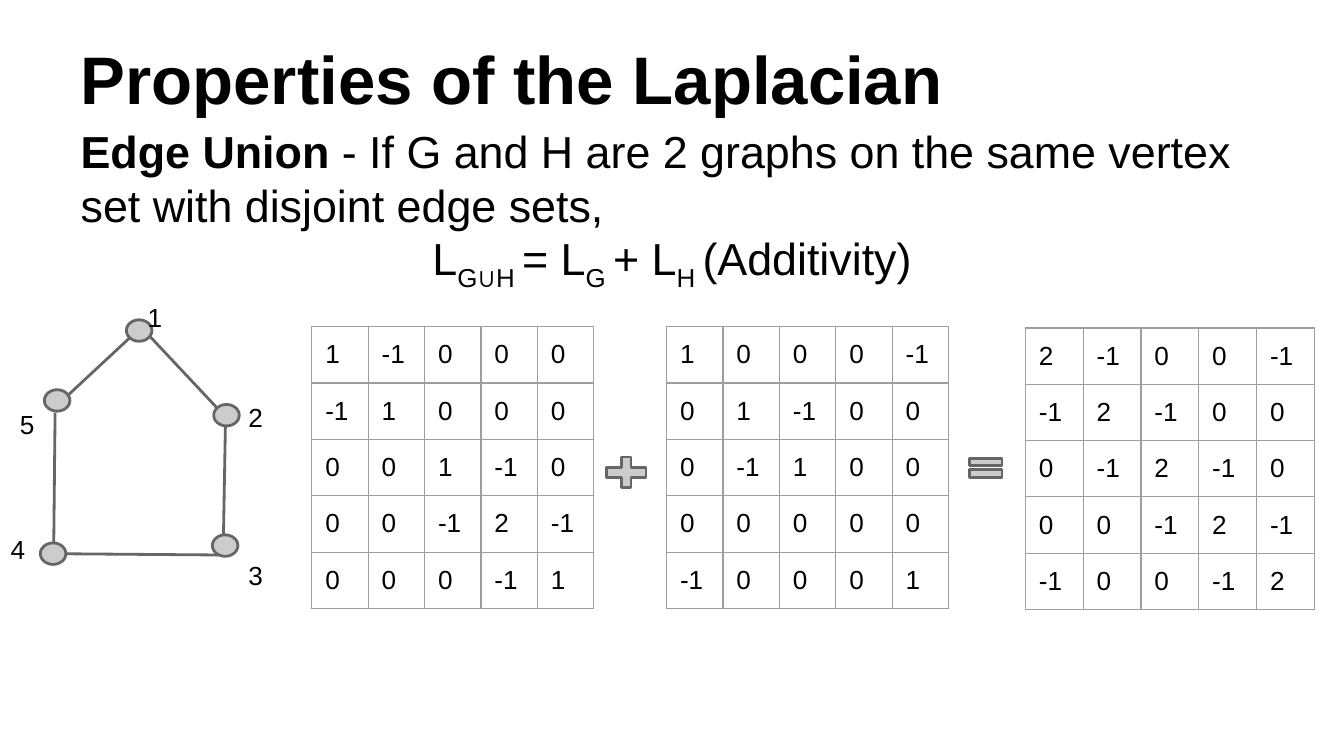
from pptx import Presentation
from pptx import util as u
from pptx.dml.color import RGBColor
from pptx.enum import shapes, text
from pptx.oxml import parse_xml
from pptx.oxml.ns import nsdecls

COLORS = {"text": "000000", "node": "CCCCCC", "edge": "666666", "grid": "9E9E9E"}


class Deck:
    font = "Arial"
    label_size = 14
    line_width = 1.5
    margin = u.Inches(0.1)

    def __init__(self, width, height):
        self.prs = Presentation()
        self.prs.slide_width, self.prs.slide_height = u.Inches(width), u.Inches(height)
        self.s = self.prs.slides.add_slide(self.prs.slide_layouts[1])

    def color(self, name):
        return RGBColor.from_string(COLORS[name])

    def apply(self, target, **values):
        for name, value in values.items():
            setattr(target, name, value)

    def frame(self, tf, anchor=text.MSO_ANCHOR.TOP):
        m = self.margin
        self.apply(tf, word_wrap=True, auto_size=text.MSO_AUTO_SIZE.NONE, vertical_anchor=anchor,
                   margin_left=m, margin_right=m, margin_top=m, margin_bottom=m)

    def run(self, p, words, size, bold=False, base=0):
        r = p.add_run()
        r.text = words
        self.apply(r.font, name=self.font, size=u.Pt(size), bold=bold)
        r.font.color.rgb = self.color("text")
        if base:
            r.font._element.set("baseline", str(base * 1000))

    def placeholder(self, index, box, paragraphs, size, anchor):
        sp = self.s.placeholders[index]
        sp.left, sp.top, sp.width, sp.height = map(u.Inches, box)
        tf = sp.text_frame
        self.frame(tf, anchor)
        for i, (align, runs) in enumerate(paragraphs):
            p = tf.add_paragraph() if i else tf.paragraphs[0]
            self.apply(p, alignment=align, line_spacing=1.0,
                       space_before=u.Pt(0), space_after=u.Pt(0))
            pPr = p._p.get_or_add_pPr()
            pPr.set("marL", "0")
            pPr.set("indent", "0")
            pPr.append(parse_xml(f"<a:buNone {nsdecls('a')}/>"))
            for words, bold, base in runs:
                self.run(p, words, size, bold, base)

    def label(self, words, left, top):
        sp = self.s.shapes.add_textbox(*map(u.Inches, (left, top, 0.25, 0.24)))
        self.frame(sp.text_frame)
        self.run(sp.text_frame.paragraphs[0], words, self.label_size)

    def outline(self, line):
        line.color.rgb = self.color("edge")
        line.width = u.Pt(self.line_width)

    def shape(self, kind, left, top, width, height):
        sp = self.s.shapes.add_shape(kind, *map(u.Inches, (left, top, width, height)))
        sp.shadow.inherit = False
        sp.fill.solid()
        sp.fill.fore_color.rgb = self.color("node")
        self.outline(sp.line)

    def edge(self, *ends):
        line = self.s.shapes.add_connector(shapes.MSO_CONNECTOR.STRAIGHT, *map(u.Inches, ends))
        self.outline(line.line)
        line._element.spPr.append(parse_xml(f"<a:effectLst {nsdecls('a')}/>"))

    def borders(self, cell):
        tcPr = cell._tc.get_or_add_tcPr()
        for i, side in enumerate(("lnL", "lnR", "lnT", "lnB")):
            tcPr.insert(i, parse_xml(
                f'<a:{side} {nsdecls("a")} w="{u.Pt(0.75)}"><a:solidFill>'
                f'<a:srgbClr val="{COLORS["grid"]}"/></a:solidFill></a:{side}>'))

    def matrix(self, left, top, col, row, rows):
        n = len(rows)
        box = map(u.Inches, (left, top, col * n, row * n))
        table = self.s.shapes.add_table(n, n, *box).table
        self.apply(table, first_row=False, horz_banding=False)
        m = self.margin
        for i, values in enumerate(rows):
            table.rows[i].height = u.Inches(row)
            table.columns[i].width = u.Inches(col)
            for j, value in enumerate(values):
                cell = table.cell(i, j)
                self.apply(cell, margin_left=m, margin_right=m, margin_top=m, margin_bottom=m)
                cell.fill.background()
                self.borders(cell)
                self.run(cell.text_frame.paragraphs[0], str(value), self.label_size)


deck = Deck(10, 10 * 9 / 16)
LEFT, CENTER = text.PP_ALIGN.LEFT, text.PP_ALIGN.CENTER
deck.placeholder(0, (0.5, 0.04, 9, 0.94), [(LEFT, [("Properties of the Laplacian", True, 0)])],
                 36, text.MSO_ANCHOR.BOTTOM)
statement = [
    ("Edge Union", True, 0),
    (" - If G and H are 2 graphs on the same vertex set with disjoint edge sets,", False, 0),
]
formula = [(words, False, base) for words, base in (
    ("L", 0), ("G∪H ", -25), ("= L", 0), ("G ", -25), ("+ L", 0), ("H ", -25), ("(Additivity)", 0))]
deck.placeholder(1, (0.5, 0.82, 9, 4.07), [(LEFT, statement), (CENTER, formula)],
                 24, text.MSO_ANCHOR.TOP)

path_laplacian = [[1, -1, 0, 0, 0], [-1, 1, 0, 0, 0], [0, 0, 1, -1, 0],
                  [0, 0, -1, 2, -1], [0, 0, 0, -1, 1]]
rest_laplacian = [[1, 0, 0, 0, -1], [0, 1, -1, 0, 0], [0, -1, 1, 0, 0],
                  [0, 0, 0, 0, 0], [-1, 0, 0, 0, 1]]
union_laplacian = [[a + b for a, b in zip(g, h)] for g, h in zip(path_laplacian, rest_laplacian)]
for left, top, col, row, rows in (
    (2.32, 2.43, 0.42, 0.42, path_laplacian),
    (4.96, 2.43, 0.42, 0.42, rest_laplacian),
    (7.63, 2.44, 0.43, 0.41, union_laplacian),
):
    deck.matrix(left, top, col, row, rows)

for ends in (
    (0.38, 4.12, 1.68, 4.13),
    (1.66, 4.14, 1.68, 3.01),
    (1, 2.38, 1.61, 3.03),
    (0.41, 3.03, 0.98, 2.5),
    (0.41, 3.07, 0.4, 4.04),
):
    deck.edge(*ends)

vertices = {
    "1": ((0.94, 2.38), (1, 2.14)),
    "2": ((1.59, 3.01), (1.75, 2.89)),
    "3": ((1.58, 3.98), (1.75, 4.06)),
    "4": ((0.3, 4.04), (-0.02, 3.87)),
    "5": ((0.33, 2.9), (0.05, 2.94)),
}
for name, (node, label) in vertices.items():
    deck.shape(shapes.MSO_SHAPE.OVAL, *node, 0.19, 0.16)
    deck.label(name, *label)

deck.shape(shapes.MSO_SHAPE.MATH_PLUS, 4.46, 3.36, 0.4, 0.31)
deck.shape(shapes.MSO_SHAPE.MATH_EQUAL, 7.17, 3.36, 0.33, 0.24)

deck.prs.save("out.pptx")
